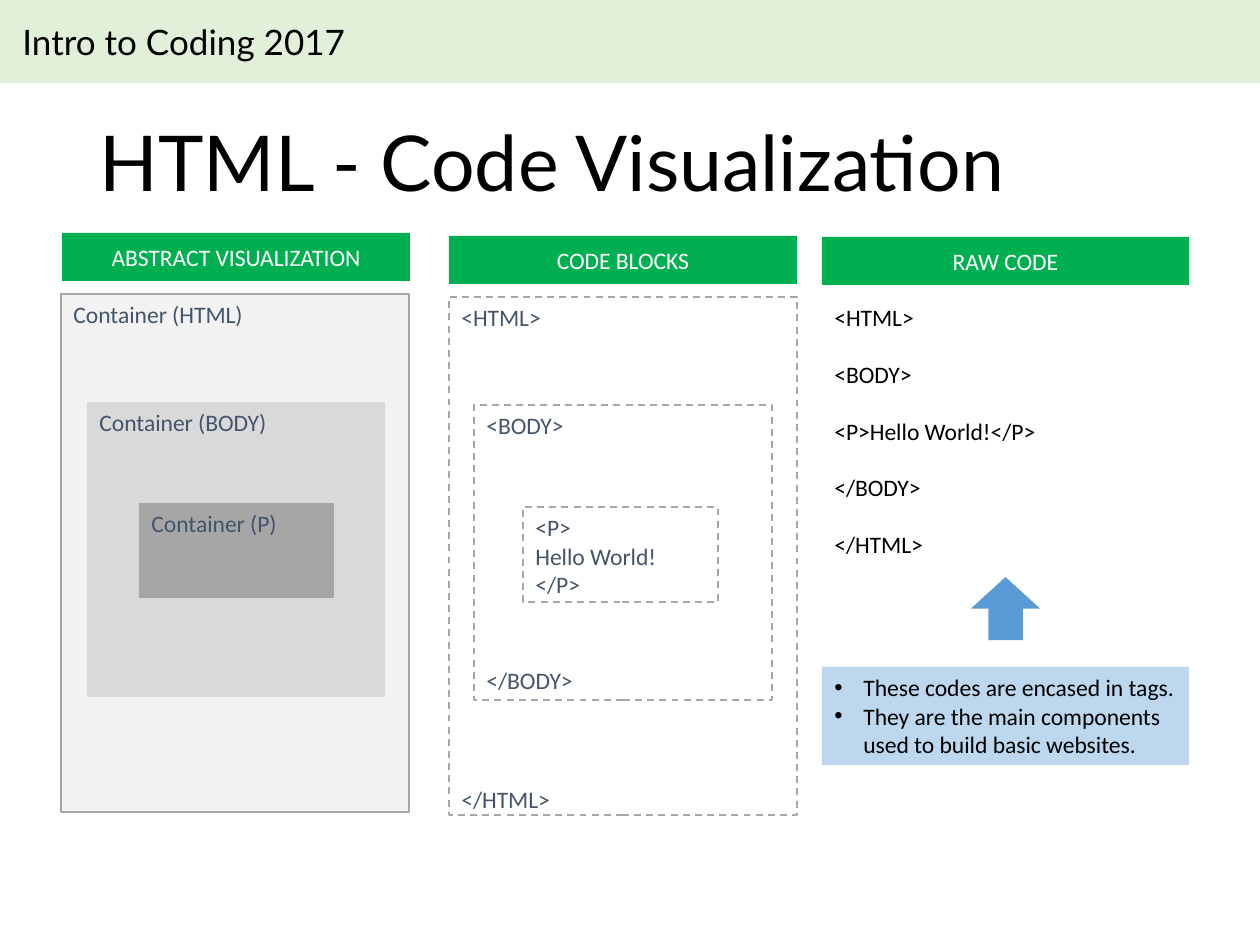
"""Build the HTML code visualization slide."""
from lxml import etree
from pptx import Presentation
from pptx.dml.color import RGBColor
from pptx.enum.dml import MSO_LINE
from pptx.enum.shapes import MSO_SHAPE
from pptx.enum.text import MSO_ANCHOR, MSO_AUTO_SIZE, PP_ALIGN
from pptx.oxml.ns import qn
from pptx.util import Emu, Pt

RECTANGLE, DOWN_ARROW = MSO_SHAPE.RECTANGLE, MSO_SHAPE.DOWN_ARROW
TOP, MIDDLE = MSO_ANCHOR.TOP, MSO_ANCHOR.MIDDLE
LEFT, CENTER = PP_ALIGN.LEFT, PP_ALIGN.CENTER
DASH, NO_FIT = MSO_LINE.DASH, MSO_AUTO_SIZE.NONE

EMU_PER_PX = 914400 / 126
BODY_SIZE = 13.5
LINE_HEIGHT = 16.2
INDENT = 29
COLORS = {
    "banner": "E2F0D9", "header": "00B050", "arrow": "5B9BD5", "note": "BDD7EE",
    "outer": "F2F2F2", "middle": "D9D9D9", "inner": "A6A6A6",
    "border": "A6A6A6", "label": "44546A", "black": "000000", "white": "FFFFFF",
}

BANNER = ("Intro to Coding 2017", (10, 14, 469, 55))
TITLE = ("HTML - Code Visualization", (87, 100, 1086, 133))
HEADERS = [
    ("ABSTRACT VISUALIZATION", (62, 233, 348, 48)),
    ("CODE BLOCKS", (449, 236, 348, 48)),
    ("RAW CODE", (822, 237, 367, 48)),
]
CONTAINERS = [
    ("Container (HTML)", (61, 294, 348, 518), "outer", "border"),
    ("Container (BODY)", (87, 402, 298, 295), "middle", None),
    ("Container (P)", (139, 503, 195, 95), "inner", None),
]
CODE_BLOCKS = [
    (["<HTML>", "</HTML>"], (449, 297, 348, 518), 16),
    (["<BODY>", "</BODY>"], (474, 405, 298, 295), 8),
    (["<P>", "Hello World!", "</P>"], (523, 507, 195, 95), 0),
]
RAW_CODE = (["<HTML>", "<BODY>", "<P>Hello World!</P>", "</BODY>", "</HTML>"],
            (822, 297, 367, 271))
NOTES = (["These codes are encased in tags.",
          "They are the main components used to build basic websites."],
         (822, 667, 367, 98))
ARROW_AREA = (971, 577, 69, 63)


def px(length):
    return Emu(round(length * EMU_PER_PX))


def color(name):
    return RGBColor.from_string(COLORS[name])


def write(box, lines, ink, size=BODY_SIZE, font="Calibri", align=LEFT, anchor=TOP, gap=0):
    frame = box.text_frame
    frame.word_wrap = True
    frame.auto_size = NO_FIT
    frame.vertical_anchor = anchor
    frame.text = "\n".join(lines)
    for index, para in enumerate(frame.paragraphs):
        para.alignment = align
        para.space_before = Pt(gap * LINE_HEIGHT if index else 0)
        for span in para.runs:
            span.font.size = Pt(size)
            span.font.name = font
            span.font.color.rgb = color(ink)


def add_block(page, area, fill=None, border=None, dash=None, kind=RECTANGLE):
    block = page.shapes.add_shape(kind, *map(px, area))
    block.shadow.inherit = False
    if fill:
        block.fill.solid()
        block.fill.fore_color.rgb = color(fill)
    else:
        block.fill.background()
    if border:
        block.line.color.rgb = color(border)
        block.line.width = Pt(1)
        block.line.dash_style = dash
    else:
        block.line.fill.background()
    return block


def add_bullets(box):
    for para in box.text_frame.paragraphs:
        props = para._p.get_or_add_pPr()
        props.set("marL", str(px(INDENT)))
        props.set("indent", str(px(-INDENT)))
        etree.SubElement(props, qn("a:buFont"), typeface="Arial")
        etree.SubElement(props, qn("a:buChar"), char="•")


def main():
    deck = Presentation()
    deck.slide_width, deck.slide_height = px(1260), px(945)
    page = deck.slides.add_slide(deck.slide_layouts[5])

    add_block(page, (0, 0, 1260, 83), "banner")
    text, area = BANNER
    write(page.shapes.add_textbox(*map(px, area)), [text], "black", 20, "Lato")

    text, area = TITLE
    title = page.shapes.title
    title.left, title.top, title.width, title.height = map(px, area)
    write(title, [text], "black", 44, "Lato", anchor=MIDDLE)
    title.text_frame.paragraphs[0].line_spacing = 0.9

    for text, area in HEADERS:
        write(add_block(page, area, "header"), [text], "white", align=CENTER, anchor=MIDDLE)
    for text, area, fill, border in CONTAINERS:
        write(add_block(page, area, fill, border), [text], "label")
    for lines, area, gap in CODE_BLOCKS:
        write(add_block(page, area, border="border", dash=DASH), lines, "label", gap=gap)

    lines, area = RAW_CODE
    write(page.shapes.add_textbox(*map(px, area)), lines, "black", gap=1)
    add_block(page, ARROW_AREA, "arrow", kind=DOWN_ARROW).rotation = 180
    lines, area = NOTES
    notes = add_block(page, area, "note")
    write(notes, lines, "black")
    add_bullets(notes)

    deck.save("out.pptx")


if __name__ == "__main__":
    main()
